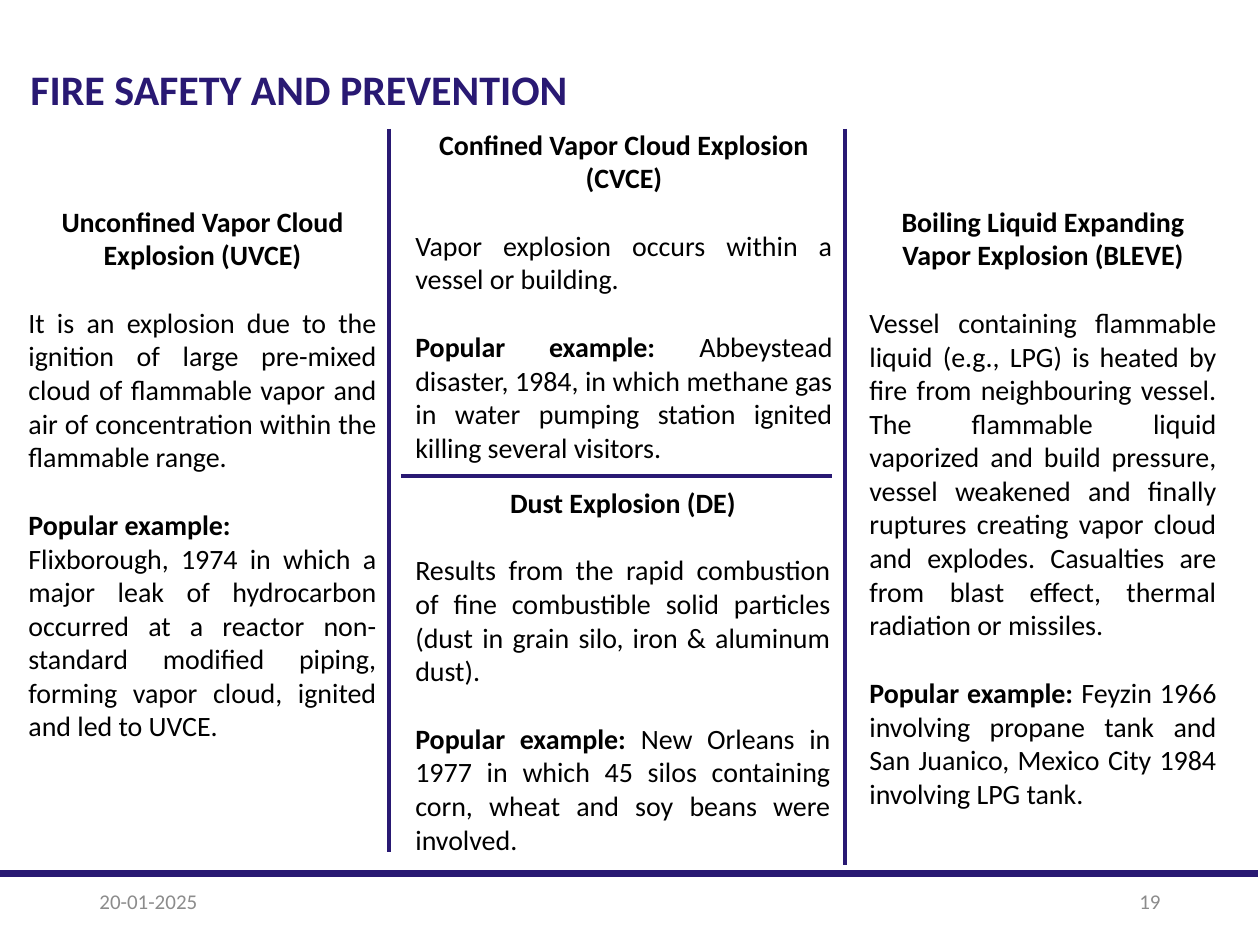
from dataclasses import dataclass

from lxml import etree
from pptx import Presentation
from pptx.dml.color import RGBColor
from pptx.enum.shapes import MSO_CONNECTOR
from pptx.enum.text import MSO_ANCHOR, PP_ALIGN
from pptx.oxml.ns import qn
from pptx.util import Emu, Pt

LEFT, CENTER = PP_ALIGN.LEFT, PP_ALIGN.CENTER
RIGHT, JUSTIFY = PP_ALIGN.RIGHT, PP_ALIGN.JUSTIFY
TOP, MIDDLE = MSO_ANCHOR.TOP, MSO_ANCHOR.MIDDLE
STRAIGHT = MSO_CONNECTOR.STRAIGHT
EMU_PER_PX = 914400 / 126


@dataclass(frozen=True)
class Theme:
    font: str = "Calibri"
    navy: RGBColor = RGBColor(0x29, 0x19, 0x73)
    black: RGBColor = RGBColor(0, 0, 0)
    grey: RGBColor = RGBColor(0x8C, 0x8C, 0x8C)
    title: int = 24
    body: int = 16
    footer: int = 12
    gap: float = 19.5
    divider: float = 2.75
    base_rule: float = 4


THEME = Theme()

# Each panel: box, heading, description, example, example label on its own line
PANELS = [
    ((16, 198, 373, 556), "Unconfined Vapor Cloud Explosion (UVCE)",
     "It is an explosion due to the ignition of large pre-mixed cloud of "
     "flammable vapor and air of concentration within the flammable range.",
     "Flixborough, 1974 in which a major leak of hydrocarbon occurred at a "
     "reactor non-standard modified piping, forming vapor cloud, ignited and "
     "led to UVCE.", True),
    ((403, 121, 442, 352), "Confined Vapor Cloud Explosion (CVCE)",
     "Vapor explosion occurs within a vessel or building.",
     "Abbeystead disaster, 1984, in which methane gas in water pumping "
     "station ignited killing several visitors.", False),
    ((857, 198, 372, 624), "Boiling Liquid Expanding Vapor Explosion (BLEVE)",
     "Vessel containing flammable liquid (e.g., LPG) is heated by fire from "
     "neighbouring vessel. The flammable liquid vaporized and build pressure, "
     "vessel weakened and finally ruptures creating vapor cloud and explodes. "
     "Casualties are from blast effect, thermal radiation or missiles.",
     "Feyzin 1966 involving propane tank and San Juanico, Mexico City 1984 "
     "involving LPG tank.", False),
    ((403, 479, 440, 386), "Dust Explosion (DE)",
     "Results from the rapid combustion of fine combustible solid particles "
     "(dust in grain silo, iron & aluminum dust).",
     "New Orleans in 1977 in which 45 silos containing corn, wheat and soy "
     "beans were involved.", False),
]

DIVIDERS = [(389, 129, 389, 852), (845, 129, 845, 865), (401, 476, 832, 476)]
BASE_RULE = (0, 874, 1258, 874)


def px(n):
    return Emu(round(n * EMU_PER_PX))


def add_box(slide, box, anchor=TOP):
    tf = slide.shapes.add_textbox(*map(px, box)).text_frame
    tf.word_wrap = True
    tf.vertical_anchor = anchor
    return tf


def add_run(p, text, size, color, bold=False):
    r = p.add_run()
    r.text = text
    r.font.name = THEME.font
    r.font.size = Pt(size)
    r.font.bold = bold
    r.font.color.rgb = color


def add_label(slide, box, text, size, color, bold=False, align=LEFT, anchor=TOP):
    p = add_box(slide, box, anchor).paragraphs[0]
    p.alignment = align
    add_run(p, text, size, color, bold)


def add_body(tf, *runs, gap=THEME.gap):
    """Add a justified paragraph from (text, bold) runs."""
    p = tf.add_paragraph()
    p.alignment = JUSTIFY
    p.space_before = Pt(gap)
    for text, bold in runs:
        add_run(p, text, THEME.body, THEME.black, bold)


def add_panel(slide, box, heading, description, example, split):
    tf = add_box(slide, box)
    p = tf.paragraphs[0]
    p.alignment = CENTER
    add_run(p, heading, THEME.body, THEME.black, True)
    add_body(tf, (description, False))
    if split:
        add_body(tf, ("Popular example:", True))
        add_body(tf, (example, False), gap=0)
    else:
        add_body(tf, ("Popular example: ", True), (example, False))


def add_rule(slide, ends, width):
    s = slide.shapes.add_connector(STRAIGHT, *map(px, ends))
    s.line.color.rgb = THEME.navy
    s.line.width = Pt(width)
    etree.SubElement(s._element.spPr, qn("a:effectLst"))


def main():
    prs = Presentation()
    prs.slide_width, prs.slide_height = px(1260), px(945)
    slide = prs.slides.add_slide(prs.slide_layouts[6])

    add_label(slide, (18, 57, 852, 63), "FIRE SAFETY AND PREVENTION",
              THEME.title, THEME.navy, bold=True)
    for panel in PANELS:
        add_panel(slide, *panel)
    for ends in DIVIDERS:
        add_rule(slide, ends, THEME.divider)
    add_rule(slide, BASE_RULE, THEME.base_rule)
    for left, text, align in ((87, "20-01-2025", LEFT), (890, "19", RIGHT)):
        add_label(slide, (left, 876, 283, 50), text, THEME.footer, THEME.grey,
                  align=align, anchor=MIDDLE)

    prs.save("out.pptx")


if __name__ == "__main__":
    main()
